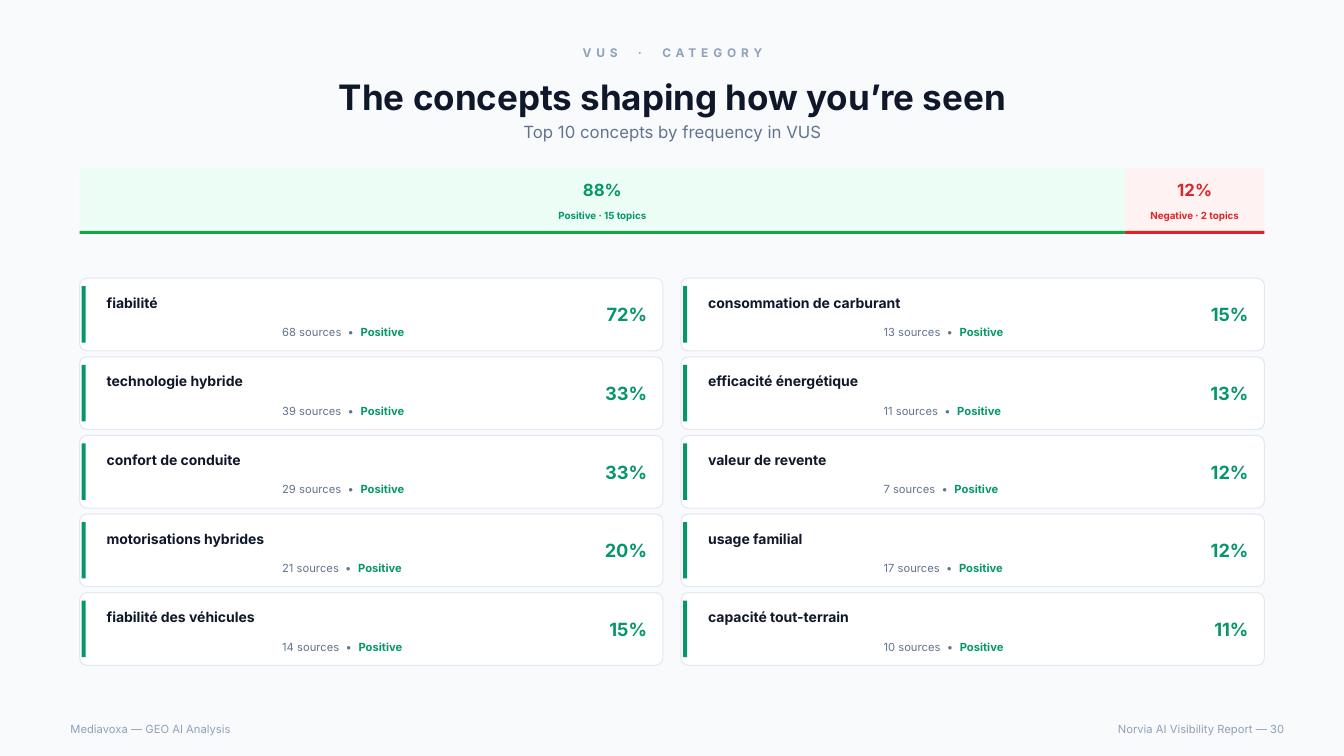
import pptx
import pptx.dml.color
import pptx.enum.shapes
import pptx.enum.text
import pptx.util

SLIDE_WIDTH, SLIDE_HEIGHT = 13.33, 7.5
MARGIN = 0.79
CONTENT_WIDTH = SLIDE_WIDTH - 2 * MARGIN
COLUMNS, ROWS = 2, 5
COLUMN_GAP, ROW_GAP = 0.18, 0.06

FONT = "Inter"
INK, SLATE, MUTED = "0F172A", "62748E", "90A1B9"
GREEN, RED = "059669", "DC2626"

ALIGN = pptx.enum.text.PP_ALIGN
ANCHOR = pptx.enum.text.MSO_ANCHOR
SHAPE = pptx.enum.shapes.MSO_SHAPE

SENTIMENTS = [
    ("Positive", 15, "88%", GREEN, "ECFDF5", "16A34A"),
    ("Negative", 2, "12%", RED, "FEF2F2", RED),
]
CONCEPTS = [
    ("fiabilité", 68, "72%"),
    ("technologie hybride", 39, "33%"),
    ("confort de conduite", 29, "33%"),
    ("motorisations hybrides", 21, "20%"),
    ("fiabilité des véhicules", 14, "15%"),
    ("consommation de carburant", 13, "15%"),
    ("efficacité énergétique", 11, "13%"),
    ("valeur de revente", 7, "12%"),
    ("usage familial", 17, "12%"),
    ("capacité tout-terrain", 10, "11%"),
]


def rgb(value):
    return pptx.dml.color.RGBColor.from_string(value)


def inches(*lengths):
    return [pptx.util.Inches(length) for length in lengths]


def add_text(slide, box, text, placeholder=None, size=8, color=INK, bold=False, align=ALIGN.LEFT,
             anchor=ANCHOR.MIDDLE, wrap=True, tracking=None, highlight=None):
    """Write text in a new text box or a placeholder; highlight is a closing (text, color) in bold."""
    shape = placeholder or slide.shapes.add_textbox(*inches(*box))
    shape.left, shape.top, shape.width, shape.height = inches(*box)
    frame = shape.text_frame
    frame.word_wrap = wrap
    frame.auto_size = pptx.enum.text.MSO_AUTO_SIZE.NONE
    frame.vertical_anchor = anchor
    paragraph = frame.paragraphs[0]
    paragraph.alignment = align
    paragraph.space_before = pptx.util.Pt(0)
    parts = [(text, color, bold)]
    if highlight:
        parts.append((*highlight, True))
    for part_text, part_color, part_bold in parts:
        run = paragraph.add_run()
        run.text = part_text
        run.font.name = FONT
        run.font.size = pptx.util.Pt(size)
        run.font.bold = part_bold
        run.font.color.rgb = rgb(part_color)
        if tracking:
            run.font._element.set("spc", str(int(tracking * 100)))


def add_panel(slide, box, fill, line=None, radius=None):
    kind = SHAPE.ROUNDED_RECTANGLE if radius else SHAPE.RECTANGLE
    shape = slide.shapes.add_shape(kind, *inches(*box))
    shape.shadow.inherit = False
    shape.fill.solid()
    shape.fill.fore_color.rgb = rgb(fill)
    if radius:
        shape.adjustments[0] = radius / min(box[2:])
    if line:
        shape.line.color.rgb = rgb(line)
        shape.line.width = pptx.util.Pt(0.75)
    else:
        shape.line.fill.background()


def add_header(slide, left, top, width):
    add_text(slide, (left, top, width, 0.25), "VUS  ·  CATEGORY", size=8.5, color=MUTED,
             bold=True, align=ALIGN.CENTER, tracking=3.5)
    add_text(slide, (left, top + 0.28, width, 0.56), "The concepts shaping how you’re seen",
             placeholder=slide.shapes.title, size=25, bold=True, align=ALIGN.CENTER)
    add_text(slide, (left, top + 0.78, width, 0.25), "Top 10 concepts by frequency in VUS",
             placeholder=slide.placeholders[1], size=12, color=SLATE, align=ALIGN.CENTER)


def add_sentiment_bar(slide, left, top, width, height):
    """Split the bar between the sentiments in proportion to their topics."""
    total = sum(sentiment[1] for sentiment in SENTIMENTS)
    rule = 0.03
    for name, topics, share, color, fill, rule_color in SENTIMENTS:
        part = width * topics / total
        add_panel(slide, (left, top, part, height), fill)
        add_panel(slide, (left, top + height - rule, part, rule), rule_color)
        add_text(slide, (left, top + 0.07, part, 0.28), share, size=12, color=color,
                 bold=True, align=ALIGN.CENTER)
        add_text(slide, (left, top + 0.36, part, 0.22), f"{name} · {topics} topics", size=7,
                 color=color, bold=True, align=ALIGN.CENTER)
        left += part


def add_card(slide, left, top, width, height, name, sources, share):
    add_panel(slide, (left, top, width, height), "FFFFFF", line="E2E8F0", radius=0.07)
    add_panel(slide, (left + 0.02, top + 0.08, 0.04, height - 0.16), GREEN)
    add_text(slide, (left + 0.17, top + 0.11, 4.53, 0.27), name, size=10, bold=True,
             anchor=ANCHOR.TOP)
    add_text(slide, (left + 1.91, top + 0.42, 2.79, 0.22), f"{sources} sources  •  ",
             color=SLATE, anchor=ANCHOR.TOP, highlight=("Positive", GREEN))
    add_text(slide, (left + width - 0.78, top, 0.72, height), share, size=13, color=GREEN,
             bold=True, align=ALIGN.RIGHT, wrap=False)


def add_card_grid(slide, left, top, width, height):
    """Fill the grid column by column."""
    card_width = (width - (COLUMNS - 1) * COLUMN_GAP) / COLUMNS
    card_height = (height - (ROWS - 1) * ROW_GAP) / ROWS
    for index, concept in enumerate(CONCEPTS):
        column, row = divmod(index, ROWS)
        add_card(slide, left + column * (card_width + COLUMN_GAP),
                 top + row * (card_height + ROW_GAP), card_width, card_height, *concept)


def add_footer(slide, left, top, width, height):
    half = width / 2
    add_text(slide, (left, top, half, height), "Mediavoxa — GEO AI Analysis", color=MUTED)
    add_text(slide, (left + half, top, half, height), "Norvia AI Visibility Report — 30",
             color=MUTED, align=ALIGN.RIGHT)


def main():
    presentation = pptx.Presentation()
    presentation.slide_width, presentation.slide_height = inches(SLIDE_WIDTH, SLIDE_HEIGHT)
    slide = presentation.slides.add_slide(presentation.slide_layouts[0])
    slide.background.fill.solid()
    slide.background.fill.fore_color.rgb = rgb("F8FAFC")

    add_header(slide, 0.6, 0.4, 12.14)
    add_sentiment_bar(slide, MARGIN, 1.67, CONTENT_WIDTH, 0.65)
    add_card_grid(slide, MARGIN, 2.76, CONTENT_WIDTH, 3.84)
    add_footer(slide, 0.6, 7.12, 12.24, 0.22)
    presentation.save("out.pptx")


if __name__ == "__main__":
    main()
